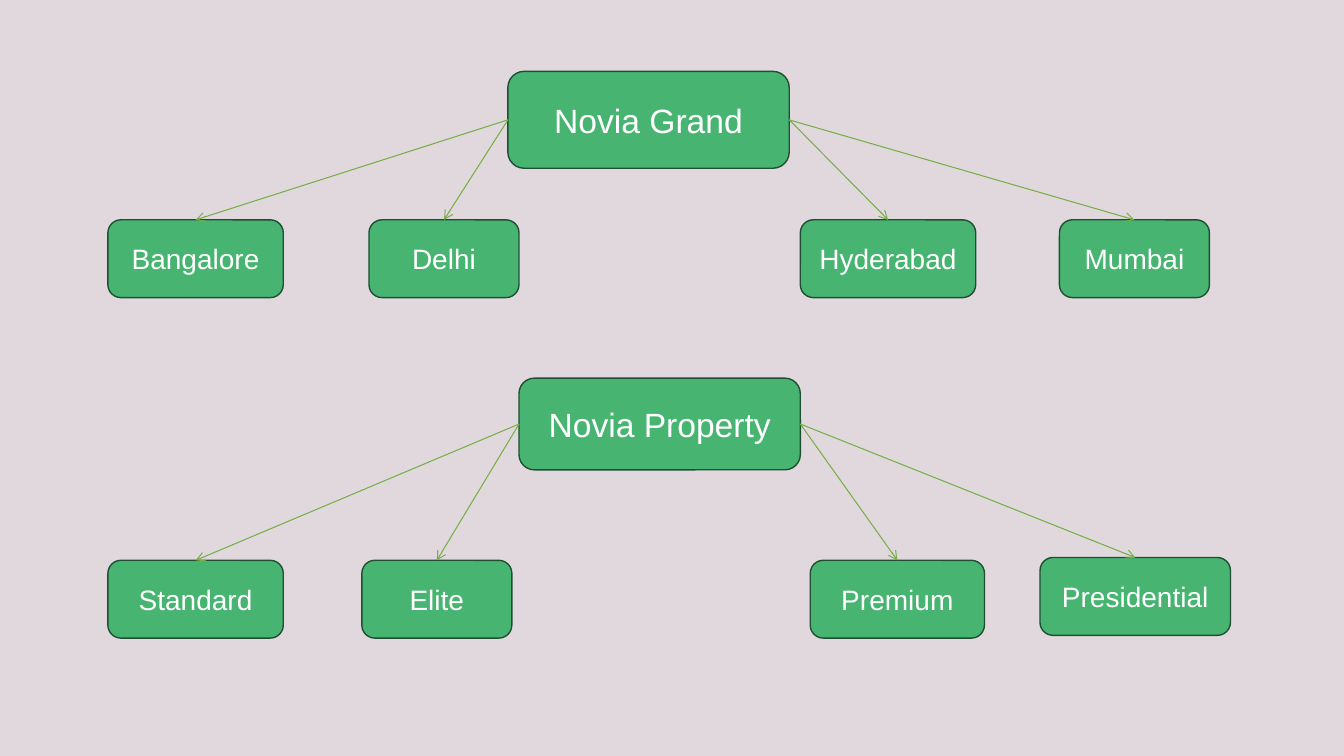
from lxml.etree import SubElement
from pptx import Presentation
from pptx.dml.color import RGBColor
from pptx.enum.shapes import MSO_CONNECTOR as CONNECTOR, MSO_SHAPE as SHAPE
from pptx.enum.text import MSO_ANCHOR as ANCHOR, PP_ALIGN as ALIGN
from pptx.oxml.ns import qn
from pptx.util import Cm, Pt

COLORS = {
    "background": "E1D8DE",
    "box": "47B571",
    "border": "1F4F32",
    "arrow": "75AF45",
    "text": "FFFFFF",
}
RGB = {part: RGBColor.from_string(value) for part, value in COLORS.items()}
TOP, LEFT, RIGHT = 0, 1, 3  # connection sites of a rounded box
CHILD_HEIGHT = 1.96

# Each tree: root box, then its children as (label, left, top, width) in cm
trees = [
    (("Novia Grand", 12.8, 1.8, 7.09, 2.44), [
        ("Bangalore", 2.72, 5.54, 4.42),
        ("Delhi", 9.3, 5.54, 3.78),
        ("Hyderabad", 20.17, 5.54, 4.42),
        ("Mumbai", 26.7, 5.54, 3.78),
    ]),
    (("Novia Property", 13.08, 9.53, 7.09, 2.31), [
        ("Standard", 2.72, 14.12, 4.42),
        ("Elite", 9.12, 14.12, 3.78),
        ("Premium", 20.42, 14.12, 4.39),
        ("Presidential", 26.21, 14.05, 4.8),
    ]),
]


def add_box(label, left, top, width, height, size):
    box = slide.shapes.add_shape(
        SHAPE.ROUNDED_RECTANGLE, Cm(left), Cm(top), Cm(width), Cm(height))
    box.shadow.inherit = False
    box.fill.solid()
    box.fill.fore_color.rgb = RGB["box"]
    box.line.color.rgb = RGB["border"]
    box.line.width = Pt(1)
    frame = box.text_frame
    frame.text = label
    frame.word_wrap = True
    frame.vertical_anchor = ANCHOR.MIDDLE
    paragraph = frame.paragraphs[0]
    paragraph.alignment = ALIGN.CENTER
    font = paragraph.runs[0].font
    font.name = "Arial"
    font.size = Pt(size)
    font.color.rgb = RGB["text"]
    return box


def add_arrow(root, side, child):
    arrow = slide.shapes.add_connector(CONNECTOR.STRAIGHT, 0, 0, 0, 0)
    arrow.begin_connect(root, side)
    arrow.end_connect(child, TOP)
    arrow.line.color.rgb = RGB["arrow"]
    arrow.line.width = Pt(0.75)
    SubElement(arrow.line._get_or_add_ln(), qn("a:tailEnd"), type="arrow")
    SubElement(arrow._element.spPr, qn("a:effectLst"))


# Slide and background
prs = Presentation()
prs.slide_width, prs.slide_height = Cm(33.87), Cm(19.05)
slide = prs.slides.add_slide(prs.slide_layouts[6])
slide.background.fill.solid()
slide.background.fill.fore_color.rgb = RGB["background"]

# Trees: the first two children hang from the left side, the others from the right
for root_box, children in trees:
    root = add_box(*root_box, size=24)
    for index, child_box in enumerate(children):
        child = add_box(*child_box, CHILD_HEIGHT, size=20)
        add_arrow(root, LEFT if index < 2 else RIGHT, child)

prs.save("out.pptx")
